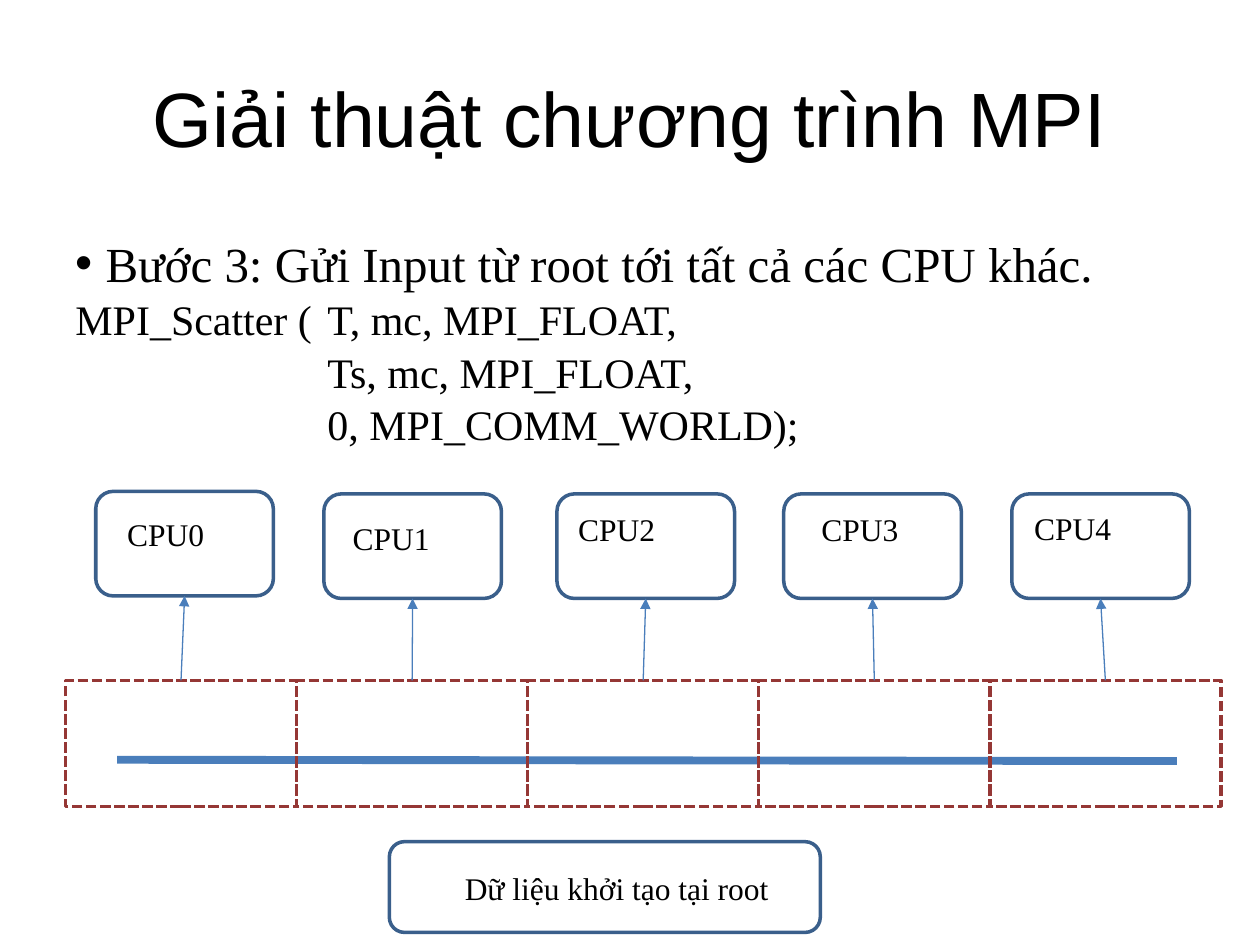
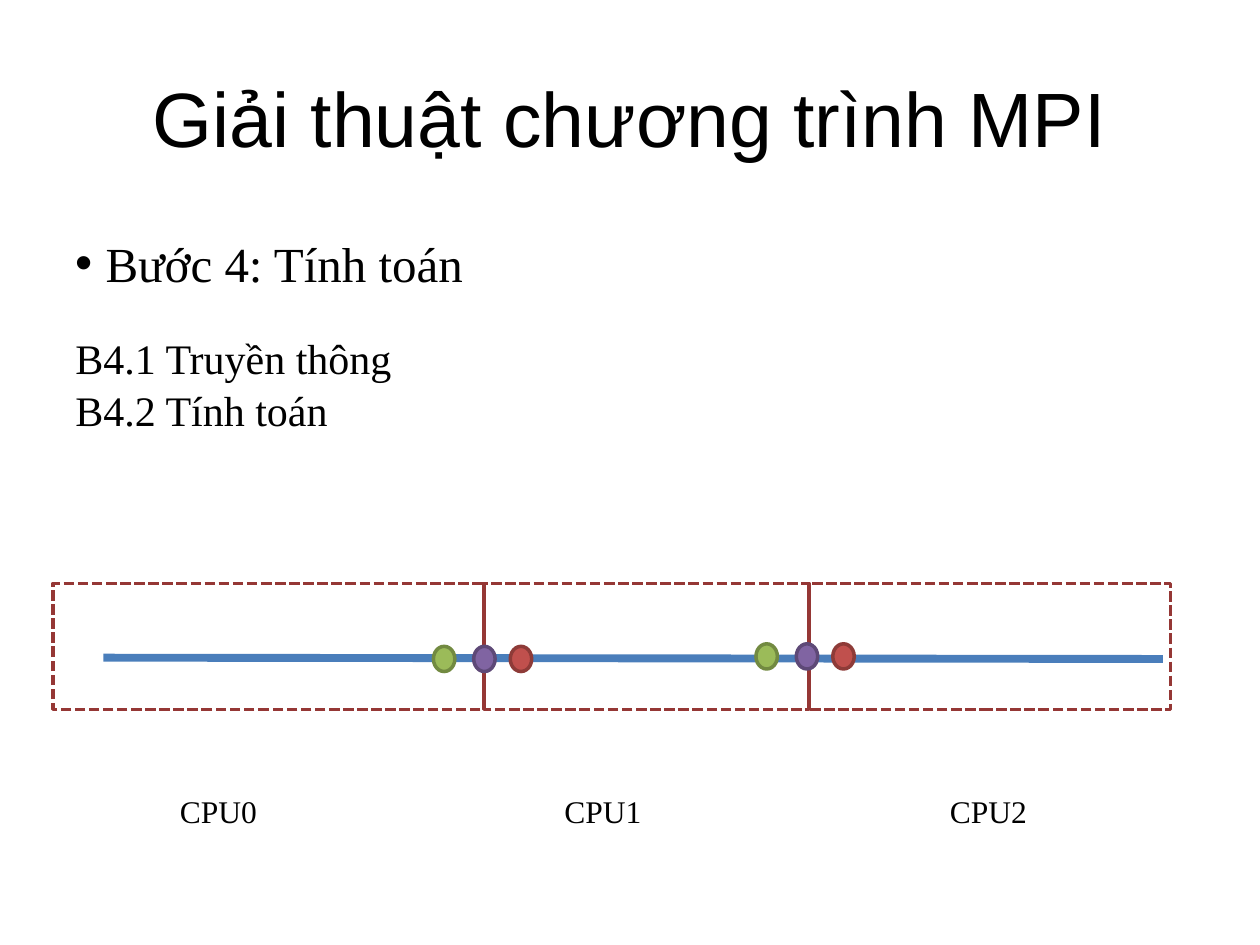
from dataclasses import dataclass
from itertools import accumulate

from lxml.etree import SubElement
from pptx import Presentation
from pptx.dml.color import RGBColor
from pptx.enum.dml import MSO_LINE_DASH_STYLE as Dash
from pptx.enum.shapes import MSO_CONNECTOR_TYPE as ConnectorType, MSO_SHAPE as ShapeType
from pptx.enum.text import MSO_ANCHOR as Anchor, PP_ALIGN as Align
from pptx.oxml.ns import qn
from pptx.shapes.autoshape import Shape
from pptx.shapes.connector import Connector
from pptx.slide import Slide
from pptx.text.text import _Paragraph as Paragraph
from pptx.util import Inches, Pt

BLACK = RGBColor(0x00, 0x00, 0x00)
BLUE = RGBColor(0x4A, 0x7E, 0xBB)
BOX_BLUE = RGBColor(0x3A, 0x5F, 0x8B)
CELL_RED = RGBColor(0x95, 0x37, 0x35)

TITLE = "Giải thuật chương trình MPI"
TITLE_FONT = "Arial"
BODY_FONT = "Times New Roman"
OUTLINE = 2
CELL_HEIGHT = 1
BOX_WIDTH, BOX_HEIGHT = 1.41, 0.83
DOT_WIDTH, DOT_HEIGHT = 0.17, 0.2


@dataclass(frozen=True)
class Label:
    """A short text and its place."""
    text: str
    left: float
    top: float
    width: float = 1.25
    height: float = 0.4


@dataclass(frozen=True)
class CpuBox:
    """A rounded box for one CPU, with its label."""
    left: float
    top: float
    label: Label


@dataclass(frozen=True)
class Dot:
    """A coloured point, placed from the left of its group."""
    offset: float
    fill: RGBColor
    line: RGBColor


CPU_BOXES = [
    CpuBox(0.76, 3.90, Label("CPU0", 0.91, 4.04)),
    CpuBox(2.57, 3.92, Label("CPU1", 2.70, 4.07)),
    CpuBox(4.42, 3.92, Label("CPU2", 4.49, 4.00)),
    CpuBox(6.22, 3.92, Label("CPU3", 6.42, 4.00)),
    CpuBox(8.03, 3.92, Label("CPU4", 8.11, 3.99)),
]
BOUNDARY_DOTS = [
    Dot(0, RGBColor(0x9B, 0xBB, 0x59), RGBColor(0x72, 0x8A, 0x41)),
    Dot(0.32, RGBColor(0x80, 0x64, 0xA2), RGBColor(0x5E, 0x49, 0x77)),
    Dot(0.61, RGBColor(0xC0, 0x50, 0x4D), RGBColor(0x8E, 0x3B, 0x38)),
]


def style_paragraph(paragraph: Paragraph, size: float, font: str = BODY_FONT) -> None:
    """Set the font of a whole paragraph."""
    paragraph.font.name = font
    paragraph.font.size = Pt(size)
    paragraph.font.color.rgb = BLACK


def add_bullet(paragraph: Paragraph, indent: float) -> None:
    """Give a paragraph a round bullet and a hanging indent."""
    properties = paragraph._p.get_or_add_pPr()
    properties.set("marL", str(Inches(indent)))
    properties.set("indent", str(-Inches(indent)))
    SubElement(properties, qn("a:buFont"), typeface="Arial")
    SubElement(properties, qn("a:buChar"), char="•")


def add_tab_stops(paragraph: Paragraph, stops: list[float]) -> None:
    """Set left tab stops, in inches."""
    tab_list = SubElement(paragraph._p.get_or_add_pPr(), qn("a:tabLst"))
    for stop in stops:
        SubElement(tab_list, qn("a:tab"), pos=str(Inches(stop)), algn="l")


def add_title(slide: Slide) -> None:
    """Place and format the shared title."""
    title = slide.shapes.title
    title.left, title.top = Inches(0.5), Inches(0.3)
    title.width, title.height = Inches(9), Inches(1.25)
    title.text_frame.text = TITLE
    title.text_frame.vertical_anchor = Anchor.MIDDLE
    paragraph = title.text_frame.paragraphs[0]
    paragraph.alignment = Align.CENTER
    style_paragraph(paragraph, 44, TITLE_FONT)


def add_body(slide: Slide, step: str, lines: list[str], gap: float) -> None:
    """Write the bulleted step and its lines; gap is the space between them."""
    body = slide.shapes.add_textbox(Inches(0.5), Inches(1.75), Inches(9), Inches(4.95))
    frame = body.text_frame
    frame.word_wrap = True
    frame.margin_top = Inches(0.1)
    heading = frame.paragraphs[0]
    heading.text = step
    style_paragraph(heading, 28)
    add_bullet(heading, 0.24)
    for index, line in enumerate(lines):
        paragraph = frame.add_paragraph()
        paragraph.text = line
        paragraph.space_before = Pt(1.2 if index else gap)
        style_paragraph(paragraph, 24)
        add_tab_stops(paragraph, [1, 2])


def add_label(slide: Slide, label: Label) -> None:
    """Write a small label."""
    box = slide.shapes.add_textbox(
        Inches(label.left), Inches(label.top), Inches(label.width), Inches(label.height))
    box.text_frame.word_wrap = True
    paragraph = box.text_frame.paragraphs[0]
    paragraph.text = label.text
    style_paragraph(paragraph, 18)


def add_outline(slide: Slide, kind: ShapeType, left: float, top: float,
                width: float, height: float, color: RGBColor) -> Shape:
    """Draw an unfilled preset shape."""
    shape = slide.shapes.add_shape(
        kind, Inches(left), Inches(top), Inches(width), Inches(height))
    shape.shadow.inherit = False
    shape.fill.background()
    shape.line.color.rgb = color
    shape.line.width = Pt(OUTLINE)
    return shape


def add_line(slide: Slide, start: tuple[float, float], end: tuple[float, float],
             width: float) -> Connector:
    """Draw a straight blue line."""
    line = slide.shapes.add_connector(
        ConnectorType.STRAIGHT, *(Inches(value) for value in (*start, *end)))
    line.line.color.rgb = BLUE
    line.line.width = Pt(width)
    SubElement(line._element.spPr, qn("a:effectLst"))
    return line


def add_arrow(slide: Slide, start: tuple[float, float], end: tuple[float, float]) -> None:
    """Draw a thin line with an arrowhead at its end."""
    arrow = add_line(slide, start, end, 0.75)
    SubElement(arrow.line._get_or_add_ln(), qn("a:tailEnd"), type="triangle")


def add_data_strip(slide: Slide, left: float, top: float, widths: list[float],
                   line_left: float, line_top: float) -> list[float]:
    """Draw the data line and its dashed cells; return the cell centres."""
    add_line(slide, (line_left, line_top), (line_left + 8.41, line_top + 0.01), 4.5)
    centers = []
    for cell_left, width in zip(accumulate(widths, initial=left), widths):
        cell = add_outline(
            slide, ShapeType.RECTANGLE, cell_left, top, width, CELL_HEIGHT, CELL_RED)
        cell.line.dash_style = Dash.SQUARE_DOT
        centers.append(cell_left + width / 2)
    return centers


def add_dots(slide: Slide, left: float, top: float) -> None:
    """Draw the three points at a cell boundary."""
    for dot in BOUNDARY_DOTS:
        shape = add_outline(slide, ShapeType.OVAL, left + dot.offset, top,
                            DOT_WIDTH, DOT_HEIGHT, dot.line)
        shape.fill.solid()
        shape.fill.fore_color.rgb = dot.fill


def add_content_slide(presentation: Presentation) -> Slide:
    """Add a title-only slide with the shared title."""
    slide = presentation.slides.add_slide(presentation.slide_layouts[5])
    add_title(slide)
    return slide


def build_scatter_slide(presentation: Presentation) -> None:
    """Step 3: the root scatters its data to all CPUs."""
    slide = add_content_slide(presentation)
    add_body(slide, "Bước 3: Gửi Input từ root tới tất cả các CPU khác.", [
        "MPI_Scatter (\tT, mc, MPI_FLOAT,",
        "\t\tTs, mc, MPI_FLOAT,",
        "\t\t0, MPI_COMM_WORLD);",
    ], gap=1)
    strip_top = 5.4
    cell_width = 9.17 / len(CPU_BOXES)
    centers = add_data_strip(
        slide, 0.52, strip_top, [cell_width] * len(CPU_BOXES), 0.93, 6.03)
    add_outline(slide, ShapeType.ROUNDED_RECTANGLE, 3.09, 6.68, 3.42, 0.72, BOX_BLUE)
    add_label(slide, Label("Dữ liệu khởi tạo tại root", 3.59, 6.85, 2.61, 0.7))
    for box, center in zip(CPU_BOXES, centers):
        add_outline(slide, ShapeType.ROUNDED_RECTANGLE, box.left, box.top,
                    BOX_WIDTH, BOX_HEIGHT, BOX_BLUE)
        add_label(slide, box.label)
        add_arrow(slide, (center, strip_top),
                  (box.left + BOX_WIDTH / 2, box.top + BOX_HEIGHT))


def build_compute_slide(presentation: Presentation) -> None:
    """Step 4: the CPUs exchange boundary points and compute."""
    slide = add_content_slide(presentation)
    add_body(slide, "Bước 4: Tính toán",
             ["B4.1 Truyền thông", "B4.2 Tính toán"], gap=23)
    add_data_strip(slide, 0.42, 4.63, [3.42, 2.58, 2.87], 0.82, 5.22)
    for index, left in enumerate([1.33, 4.38, 7.44]):
        add_label(slide, Label(f"CPU{index}", left, 6.24))
    add_dots(slide, 3.44, 5.13)
    add_dots(slide, 6, 5.11)


def main() -> None:
    """Build and save the slides."""
    presentation = Presentation()
    presentation.slide_width, presentation.slide_height = Inches(10), Inches(7.5)
    build_scatter_slide(presentation)
    build_compute_slide(presentation)
    presentation.save("out.pptx")


main()
